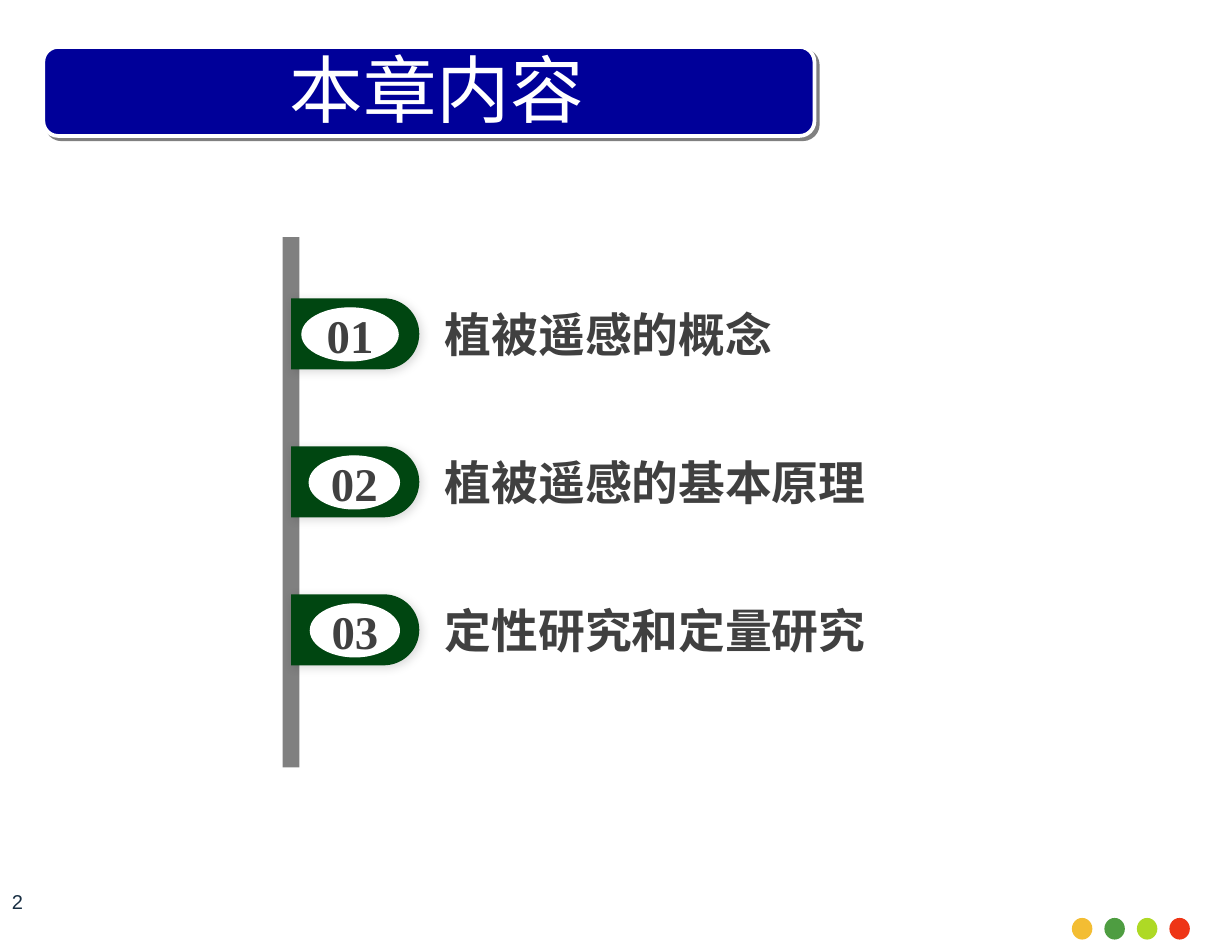
from dataclasses import dataclass
from math import cos, pi, sin

from lxml.etree import SubElement
from pptx import Presentation
from pptx.dml.color import RGBColor
from pptx.enum.shapes import MSO_SHAPE as SHAPE
from pptx.enum.text import MSO_ANCHOR as ANCHOR, MSO_AUTO_SIZE as AUTO_SIZE, PP_ALIGN as ALIGN
from pptx.oxml.ns import qn
from pptx.shapes.autoshape import Shape
from pptx.slide import Slide
from pptx.util import Inches, Pt

WHITE = RGBColor(0xFF, 0xFF, 0xFF)
NAVY = RGBColor(0x00, 0x00, 0x99)
GREY = RGBColor(0x80, 0x80, 0x80)
GREEN = RGBColor(0x00, 0x46, 0x11)
BLACK = RGBColor(0x00, 0x00, 0x00)
TEXT_GREY = RGBColor(0x40, 0x40, 0x40)
PAGE_BLUE = RGBColor(0x18, 0x2E, 0x43)
DOT_COLORS = [RGBColor(0xF3, 0xBD, 0x33), RGBColor(0x4E, 0x9D, 0x41),
              RGBColor(0xAE, 0xD9, 0x25), RGBColor(0xEE, 0x35, 0x16)]

CJK = "Noto Sans CJK SC"
SERIF = "Times New Roman"
SANS = "Arial"

TAB_LEFT, TAB_TOP, TAB_STEP = 2.42, 2.48, 1.23
TAB_STRAIGHT, TAB_HEIGHT = 0.77, 0.59
ARC_STEPS = 40


@dataclass
class Chapter:
    number: str
    title: str
    oval_left: float
    oval_width: float


@dataclass
class TextStyle:
    font: str
    size: int
    color: RGBColor
    bold: bool = False
    align: ALIGN = ALIGN.LEFT


CHAPTERS = [
    Chapter("01", "植被遥感的概念", 2.51, 0.8),
    Chapter("02", "植被遥感的基本原理", 2.57, 0.75),
    Chapter("03", "定性研究和定量研究", 2.58, 0.74),
]
HEADING = TextStyle(CJK, 44, WHITE)
CHAPTER_TITLE = TextStyle(CJK, 28, TEXT_GREY, True, ALIGN.JUSTIFY)
CHAPTER_NUMBER = TextStyle(SERIF, 28, TEXT_GREY, True, ALIGN.CENTER)
PAGE_NUMBER = TextStyle(SANS, 12, PAGE_BLUE, align=ALIGN.CENTER)


def paint(sp: Shape, fill: RGBColor, line: RGBColor | None = None, width: float = 0.75) -> None:
    sp.shadow.inherit = False
    sp.fill.solid()
    sp.fill.fore_color.rgb = fill
    if line is None:
        sp.line.fill.background()
    else:
        sp.line.color.rgb = line
        sp.line.width = Pt(width)


def add_shadow(sp: Shape, color: RGBColor, opacity: int, blur: float, distance: float) -> None:
    """Cast a shadow to the lower right; blur and distance are in points."""
    effects = sp._element.spPr.find(qn("a:effectLst"))
    shadow = SubElement(effects, qn("a:outerShdw"), blurRad=str(Pt(blur)), dist=str(Pt(distance)),
                        dir=str(45 * 60000), algn="tl", rotWithShape="0")
    clr = SubElement(shadow, qn("a:srgbClr"), val=str(color))
    SubElement(clr, qn("a:alpha"), val=str(opacity * 1000))


def add_preset(slide: Slide, kind: SHAPE, left: float, top: float,
               width: float, height: float) -> Shape:
    return slide.shapes.add_shape(kind, Inches(left), Inches(top), Inches(width), Inches(height))


def write(sp: Shape, text: str, style: TextStyle) -> None:
    tf = sp.text_frame
    tf.text = text
    p = tf.paragraphs[0]
    p.alignment = style.align
    r = p.runs[0]
    r.font.name = style.font
    r.font.size = Pt(style.size)
    r.font.bold = style.bold
    r.font.color.rgb = style.color
    SubElement(r._r.get_or_add_rPr(), qn("a:ea"), typeface=style.font)


def add_text(slide: Slide, left: float, top: float, width: float, height: float, text: str,
             style: TextStyle, anchor: ANCHOR = ANCHOR.MIDDLE, wrap: bool = True) -> Shape:
    sp = slide.shapes.add_textbox(Inches(left), Inches(top), Inches(width), Inches(height))
    sp.text_frame.word_wrap = wrap
    sp.text_frame.vertical_anchor = anchor
    write(sp, text, style)
    return sp


def add_tab(slide: Slide, top: float) -> None:
    """Draw a green tab that is square on the left and half round on the right."""
    radius = TAB_HEIGHT / 2
    center_x, center_y = TAB_LEFT + TAB_STRAIGHT, top + radius
    angles = [pi * i / ARC_STEPS - pi / 2 for i in range(ARC_STEPS + 1)]
    points = [(center_x + radius * cos(a), center_y + radius * sin(a)) for a in angles]
    points.append((TAB_LEFT, top + TAB_HEIGHT))
    builder = slide.shapes.build_freeform(Inches(TAB_LEFT), Inches(top))
    builder.add_line_segments([(Inches(x), Inches(y)) for x, y in points], close=True)
    tab = builder.convert_to_shape()
    paint(tab, GREEN)
    add_shadow(tab, BLACK, 15, 6, 2)


def add_chapter(slide: Slide, chapter: Chapter, top: float) -> None:
    add_tab(slide, top)
    oval = add_preset(slide, SHAPE.OVAL, chapter.oval_left, top + 0.08, chapter.oval_width, 0.44)
    paint(oval, WHITE, WHITE)
    tf = oval.text_frame
    tf.margin_left = tf.margin_right = tf.margin_top = tf.margin_bottom = 0
    tf.vertical_anchor = ANCHOR.MIDDLE
    write(oval, chapter.number, CHAPTER_NUMBER)
    add_text(slide, 3.6, top - 0.12, 4.2, 0.83, chapter.title, CHAPTER_TITLE)


def main() -> None:
    prs = Presentation()
    prs.slide_width, prs.slide_height = Inches(10.24), Inches(7.88)
    slide = prs.slides.add_slide(prs.slide_layouts[6])

    banner = add_preset(slide, SHAPE.ROUNDED_RECTANGLE, 0.36, 0.39, 6.41, 0.74)
    paint(banner, NAVY, WHITE, 2.25)
    add_shadow(banner, GREY, 100, 0, 2.8)

    for i, color in enumerate(DOT_COLORS):
        paint(add_preset(slide, SHAPE.OVAL, 8.91 + 0.27 * i, 7.63, 0.17, 0.18), color)
    add_text(slide, 0, 7.41, 0.28, 0.16, "2", PAGE_NUMBER, wrap=False)

    paint(add_preset(slide, SHAPE.RECTANGLE, 2.35, 1.97, 0.14, 4.41), GREY)
    for i, chapter in enumerate(CHAPTERS):
        add_chapter(slide, chapter, TAB_TOP + TAB_STEP * i)

    heading = add_text(slide, 2.31, 0.32, 4.3, 0.84, "本章内容", HEADING, ANCHOR.TOP)
    heading.text_frame.auto_size = AUTO_SIZE.SHAPE_TO_FIT_TEXT

    prs.save("out.pptx")


if __name__ == "__main__":
    main()
